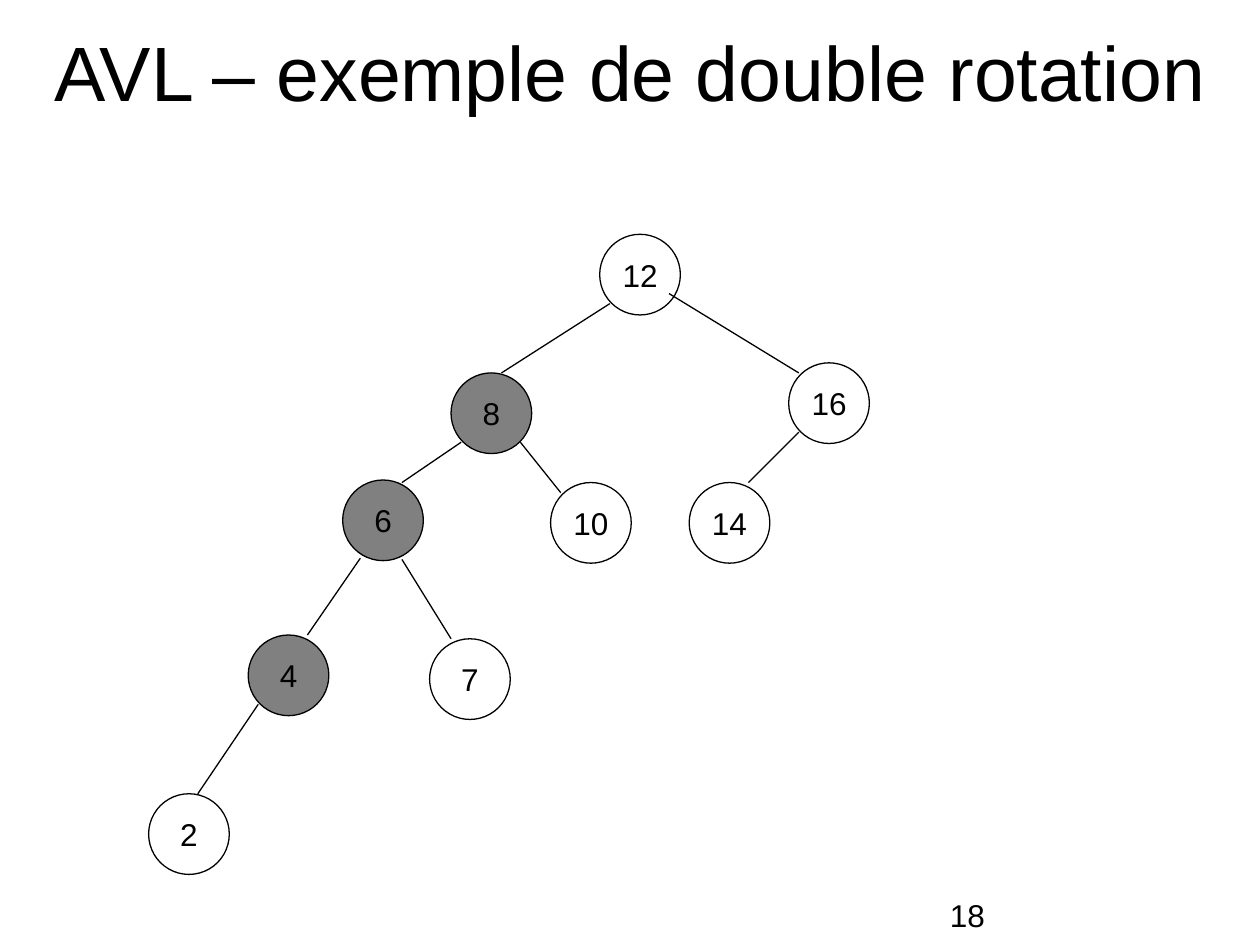
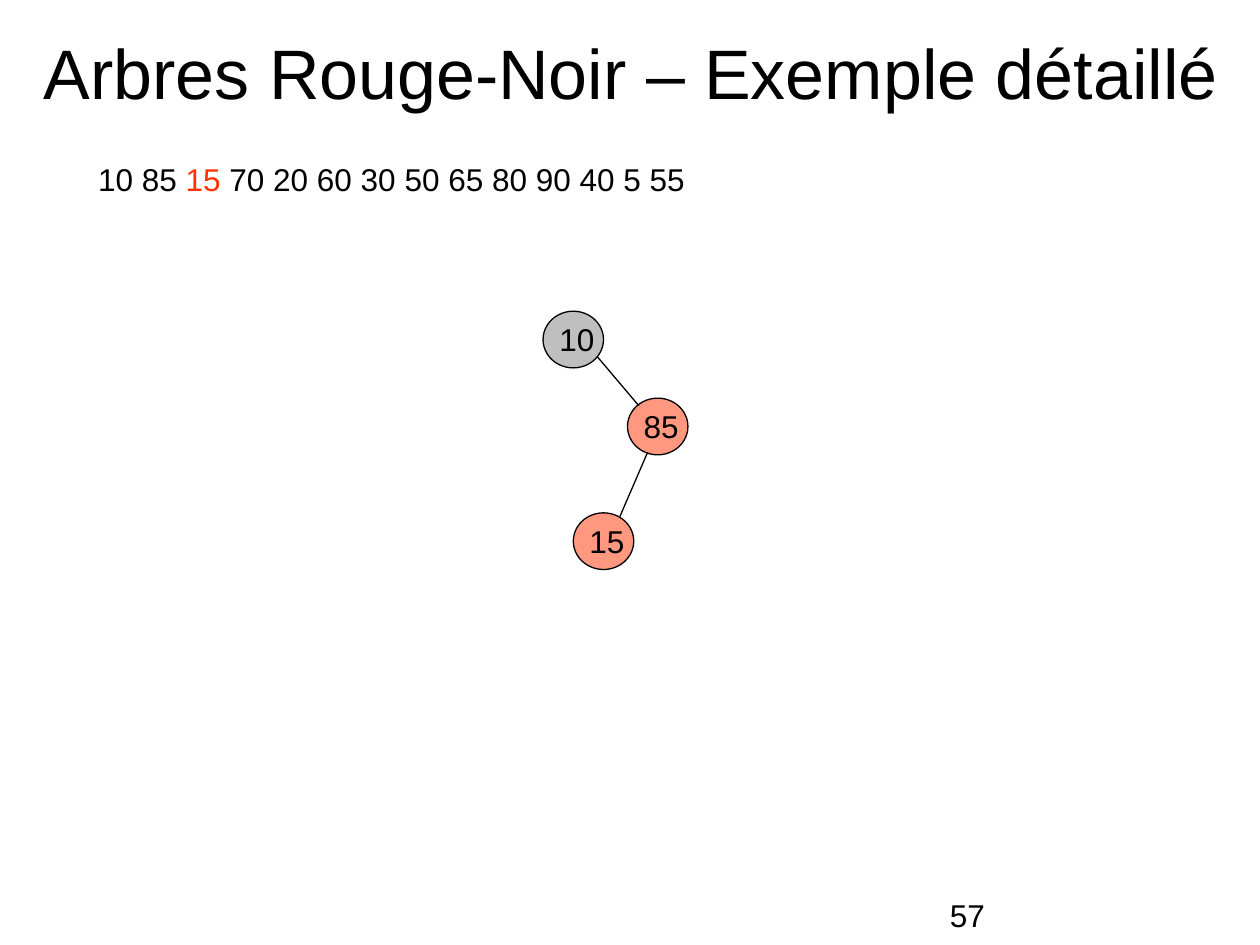
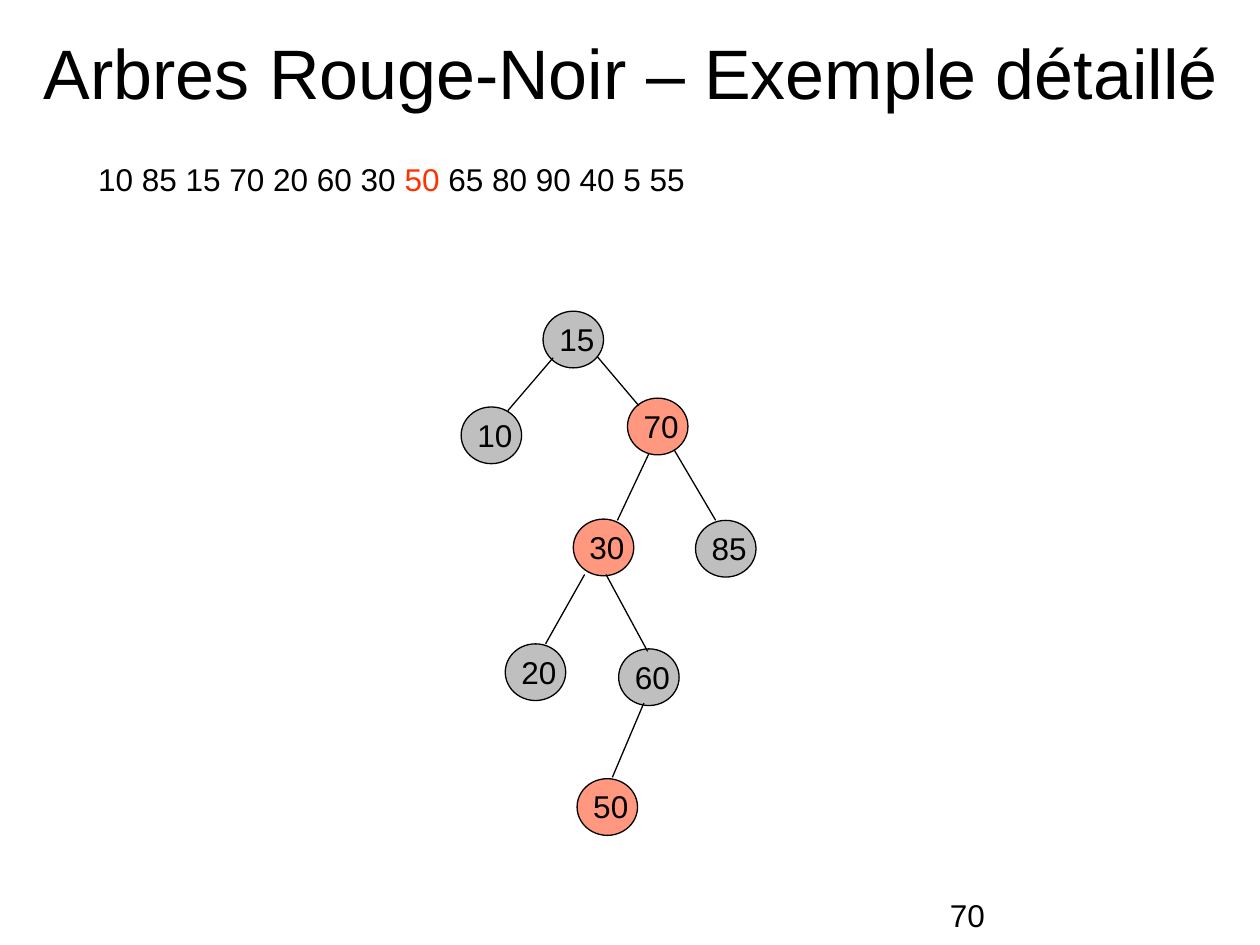
"""Build three slides of worked examples on balanced search trees."""
import dataclasses

import lxml.etree
import pptx
import pptx.dml.color
import pptx.enum.shapes
import pptx.enum.text
import pptx.oxml.ns
import pptx.util

Inches = pptx.util.Inches
Pt = pptx.util.Pt
RGB = pptx.dml.color.RGBColor
Align = pptx.enum.text.PP_ALIGN
Anchor = pptx.enum.text.MSO_ANCHOR
AutoSize = pptx.enum.text.MSO_AUTO_SIZE


@dataclasses.dataclass(frozen=True)
class Theme:
    """Colours, type sizes and line width of the deck."""
    font: str = "Arial"
    ink: RGB = RGB(0x00, 0x00, 0x00)
    gray: RGB = RGB(0x80, 0x80, 0x80)
    red: RGB = RGB(0xFF, 0x33, 0x00)
    avl_title: int = 44
    red_black_title: int = 40
    text: int = 18
    line: float = 0.75


@dataclasses.dataclass(frozen=True)
class NodeStyle:
    """Size, opacity and label placement of the nodes of one kind of tree."""
    width: float
    height: float
    opacity: int
    label_dx: float
    label_dy: float
    label_height: float
    inset_x: float
    inset_y: float
    align: Align


THEME = Theme()
AVL = NodeStyle(0.64, 0.64, 100, 0, 0.17, 0.3, 0, 0, Align.CENTER)
RED_BLACK = NodeStyle(0.48, 0.45, 50, 0.03, 0.02, 0.4, 0.1, 0.05, Align.LEFT)
DIGIT_WIDTH = 0.14

RED_BLACK_TITLE = "Arbres Rouge-Noir – Exemple détaillé"

AVL_NODES = [
    ("12", 4.76, 1.86, None),
    ("4", 1.97, 5.04, THEME.gray),
    ("16", 6.26, 2.88, None),
    ("2", 1.18, 6.3, None),
    ("14", 5.47, 3.83, None),
    ("6", 2.72, 3.81, THEME.gray),
    ("8", 3.58, 2.96, THEME.gray),
    ("10", 4.37, 3.83, None),
    ("7", 3.41, 5.07, None),
]
AVL_EDGES = [
    (4.84, 2.41, 3.98, 2.96),
    (5.31, 2.33, 6.34, 2.96),
    (6.34, 3.43, 5.94, 3.83),
    (3.66, 3.51, 3.19, 3.83),
    (2.05, 5.59, 1.57, 6.3),
    (3.19, 4.44, 3.58, 5.07),
    (4.13, 3.51, 4.45, 3.91),
    (2.86, 4.43, 2.44, 5.04),
]

INSERT_15_NODES = [
    ("10", 4.31, 2.47, THEME.gray),
    ("85", 4.98, 3.16, THEME.red),
    ("15", 4.55, 4.07, THEME.red),
]
ROOT_RIGHT_EDGE = (4.74, 2.83, 5.07, 3.22)
INSERT_15_EDGES = [ROOT_RIGHT_EDGE, (5.14, 3.59, 4.92, 4.1)]

INSERT_50_NODES = [
    ("15", 4.31, 2.47, THEME.gray),
    ("70", 4.98, 3.16, THEME.red),
    ("10", 3.66, 3.23, THEME.gray),
    ("30", 4.55, 4.12, THEME.red),
    ("85", 5.52, 4.13, THEME.gray),
    ("60", 4.91, 5.15, THEME.gray),
    ("20", 4.01, 5.11, THEME.gray),
    ("50", 4.58, 6.18, THEME.red),
]
INSERT_50_EDGES = [
    ROOT_RIGHT_EDGE,
    (4.39, 2.84, 4.03, 3.26),
    (5.15, 3.6, 4.9, 4.13),
    (5.35, 3.57, 5.68, 4.13),
    (4.81, 4.56, 5.14, 5.17),
    (4.64, 4.56, 4.33, 5.11),
    (5.11, 5.58, 4.86, 6.17),
]


def add_run(paragraph, text, size, color=THEME.ink):
    """Append one formatted run to a paragraph."""
    run = paragraph.add_run()
    run.text = text
    run.font.name = THEME.font
    run.font.size = Pt(size)
    run.font.color.rgb = color


def set_insets(frame, x, y):
    """Set the horizontal and vertical insets of a text frame."""
    frame.margin_left = frame.margin_right = Inches(x)
    frame.margin_top = frame.margin_bottom = Inches(y)


def add_text(slide, box, runs, wrap=False, align=Align.LEFT, insets=(0.1, 0.05)):
    """Add a text box holding one paragraph of (text, colour) runs."""
    frame = slide.shapes.add_textbox(*map(Inches, box)).text_frame
    frame.word_wrap = wrap
    frame.auto_size = AutoSize.NONE if wrap else AutoSize.SHAPE_TO_FIT_TEXT
    set_insets(frame, *insets)
    paragraph = frame.paragraphs[0]
    paragraph.alignment = align
    for text, color in runs:
        add_run(paragraph, text, THEME.text, color)


def add_page(deck, title, title_size, page_number):
    """Add a slide with its title and page number."""
    slide = deck.slides.add_slide(deck.slide_layouts[5])
    heading = slide.shapes.title
    heading.left, heading.top = Inches(0.2), Inches(0.13)
    heading.width, heading.height = Inches(9.61), Inches(0.87)
    frame = heading.text_frame
    frame.word_wrap = True
    frame.auto_size = AutoSize.NONE
    frame.vertical_anchor = Anchor.MIDDLE
    set_insets(frame, 0.1, 0.05)
    frame.paragraphs[0].alignment = Align.CENTER
    add_run(frame.paragraphs[0], title, title_size)
    add_text(slide, (7.44, 7.06, 2.36, 0.28), [(page_number, THEME.ink)], wrap=True)
    return slide


def set_opacity(shape, percent):
    """Make the solid fill of a shape partly transparent."""
    color = shape.fill._xPr.find(".//" + pptx.oxml.ns.qn("a:srgbClr"))
    alpha = lxml.etree.SubElement(color, pptx.oxml.ns.qn("a:alpha"))
    alpha.set("val", str(percent * 1000))


def set_line(shape):
    """Give a shape or edge the thin ink line."""
    shape.line.color.rgb = THEME.ink
    shape.line.width = Pt(THEME.line)


def add_node(slide, style, key, left, top, color):
    """Add a tree node and the key written over it."""
    node = slide.shapes.add_shape(
        pptx.enum.shapes.MSO_SHAPE.OVAL,
        *map(Inches, (left, top, style.width, style.height)))
    node.shadow.inherit = False
    set_line(node)
    if color is None:
        node.fill.background()
    else:
        node.fill.solid()
        node.fill.fore_color.rgb = color
        if style.opacity < 100:
            set_opacity(node, style.opacity)
    label_width = len(key) * DIGIT_WIDTH + 2 * style.inset_x
    label_left = left + (style.width - label_width) / 2 + style.label_dx
    add_text(slide, (label_left, top + style.label_dy, label_width, style.label_height),
             [(key, THEME.ink)], align=style.align, insets=(style.inset_x, style.inset_y))


def add_edge(slide, ends):
    """Add a straight edge between two nodes."""
    edge = slide.shapes.add_connector(
        pptx.enum.shapes.MSO_CONNECTOR.STRAIGHT, *map(Inches, ends))
    set_line(edge)
    lxml.etree.SubElement(edge._element.spPr, pptx.oxml.ns.qn("a:effectLst"))


def add_tree(slide, style, nodes, edges):
    """Add all nodes and edges of a tree."""
    for node in nodes:
        add_node(slide, style, *node)
    for edge in edges:
        add_edge(slide, edge)


def add_insertion(deck, page_number, before, current, after, nodes, edges):
    """Add a red-black slide: the key sequence and the tree at this step."""
    slide = add_page(deck, RED_BLACK_TITLE, THEME.red_black_title, page_number)
    add_text(slide, (0.68, 1.22, 4.99, 0.4),
             [(before, THEME.ink), (current, THEME.red), (after, THEME.ink)])
    add_tree(slide, RED_BLACK, nodes, edges)


def main():
    """Build and save the deck."""
    deck = pptx.Presentation()
    deck.slide_width, deck.slide_height = Inches(10), Inches(7.5)
    rotation = add_page(deck, "AVL – exemple de double rotation", THEME.avl_title, "18")
    add_tree(rotation, AVL, AVL_NODES, AVL_EDGES)
    add_insertion(deck, "57", "10 85", " 15", " 70 20 60 30 50 65 80 90 40 5 55",
                  INSERT_15_NODES, INSERT_15_EDGES)
    add_insertion(deck, "70", "10 85 15 70 20 60 30 ", "50 ", "65 80 90 40 5 55",
                  INSERT_50_NODES, INSERT_50_EDGES)
    deck.save("out.pptx")


if __name__ == "__main__":
    main()
